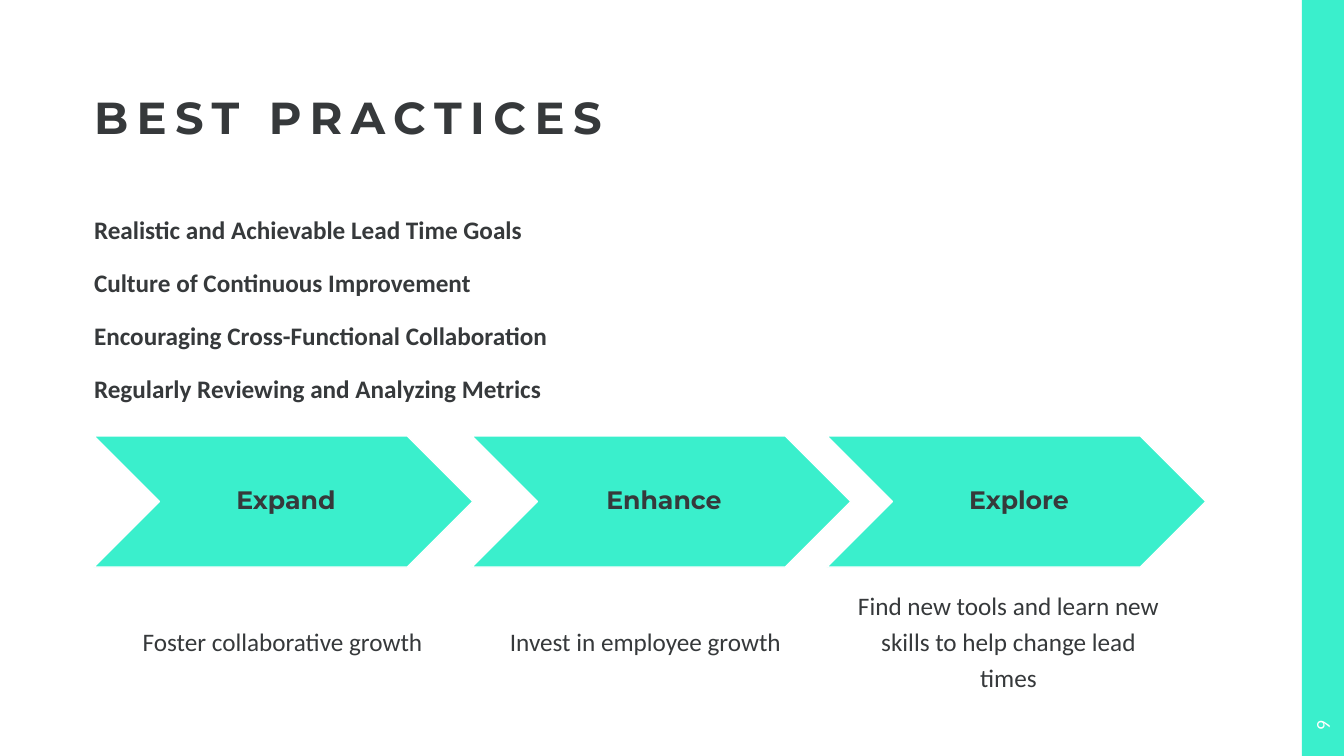
from pptx import Presentation
from pptx.dml.color import RGBColor
from pptx.enum.shapes import MSO_SHAPE as SHAPE
from pptx.enum.text import MSO_ANCHOR as ANCHOR, PP_ALIGN as ALIGN
from pptx.util import Emu, Pt

TITLE = "BEST PRACTICES"
PRACTICES = [
    "Realistic and Achievable Lead Time Goals",
    "Culture of Continuous Improvement",
    "Encouraging Cross-Functional Collaboration",
    "Regularly Reviewing and Analyzing Metrics",
]
# label, chevron left, description, description left and width
STEPS = [
    ("Expand", 94, "Foster collaborative growth", 131, 303),
    ("Enhance", 472, "Invest in employee growth", 471, 349),
    ("Explore", 827, "Find new tools and learn new skills to help change lead times",
     857, 303),
]
PAGE = "9"

TEAL = RGBColor(0x3A, 0xEF, 0xCC)
DARK = RGBColor(0x36, 0x39, 0x3B)
WHITE = RGBColor(0xFF, 0xFF, 0xFF)
HEAD, BODY = "Montserrat", "Calibri"

SLIDE_W, SLIDE_H = 1344, 756
BAR_W = 42
MARGIN = 94
CHEVRON_Y, CHEVRON_W, CHEVRON_H = 436, 379, 131
DESC_Y, DESC_H = 584, 109


def px(n):
    return Emu(round(n * 914400 / 100.8))


def write(s, lines, font, size, color=DARK, bold=False, align=ALIGN.LEFT,
          anchor=ANCHOR.TOP, spacing=1.0, after=0, insets=(0, 0, 0, 0)):
    """Fill a shape with paragraphs that share one style."""
    tf = s.text_frame
    tf.word_wrap = True
    tf.vertical_anchor = anchor
    tf.margin_left, tf.margin_top, tf.margin_right, tf.margin_bottom = map(px, insets)
    tf.text = "\n".join(lines)
    for p in tf.paragraphs:
        p.alignment, p.line_spacing, p.space_after = align, spacing, Pt(after)
        p.font.name, p.font.size, p.font.bold = font, Pt(size), bold
        p.font.color.rgb = color


def add_box(x, y, w, h):
    return slide.shapes.add_textbox(px(x), px(y), px(w), px(h))


def add_filled(kind, x, y, w, h):
    s = slide.shapes.add_shape(kind, px(x), px(y), px(w), px(h))
    s.shadow.inherit = False
    s.fill.solid()
    s.fill.fore_color.rgb = TEAL
    s.line.fill.background()
    return s


prs = Presentation()
prs.slide_width, prs.slide_height = px(SLIDE_W), px(SLIDE_H)
slide = prs.slides.add_slide(prs.slide_layouts[6])

add_filled(SHAPE.RECTANGLE, SLIDE_W - BAR_W, 0, BAR_W, SLIDE_H)

title = add_box(MARGIN, 0, 1116, 144)
write(title, [TITLE], HEAD, 32, bold=True, anchor=ANCHOR.BOTTOM, spacing=0.9)
title.text_frame.paragraphs[0].runs[0].font._element.set("spc", "600")

write(add_box(MARGIN, 203, 1112, 207), PRACTICES, BODY, 18, bold=True,
      spacing=1.2, after=12, insets=(0, 5, 10, 5))

for label, x, desc, desc_x, desc_w in STEPS:
    chevron = add_filled(SHAPE.CHEVRON, x, CHEVRON_Y, CHEVRON_W, CHEVRON_H)
    chevron.line.color.rgb = WHITE
    chevron.line.width = Pt(1)
    write(chevron, [label], HEAD, 18, bold=True, align=ALIGN.CENTER,
          anchor=ANCHOR.MIDDLE, spacing=0.9, insets=(8, 3, 3, 3))
    write(add_box(desc_x, DESC_Y, desc_w, DESC_H), [desc], BODY, 18,
          align=ALIGN.CENTER, anchor=ANCHOR.MIDDLE, spacing=1.2, after=12)

number = add_box(1291, 704, 62, BAR_W)
number.rotation = 270
write(number, [PAGE], BODY, 14, color=WHITE, align=ALIGN.CENTER,
      anchor=ANCHOR.MIDDLE, insets=(10, 5, 10, 5))

prs.save("out.pptx")
